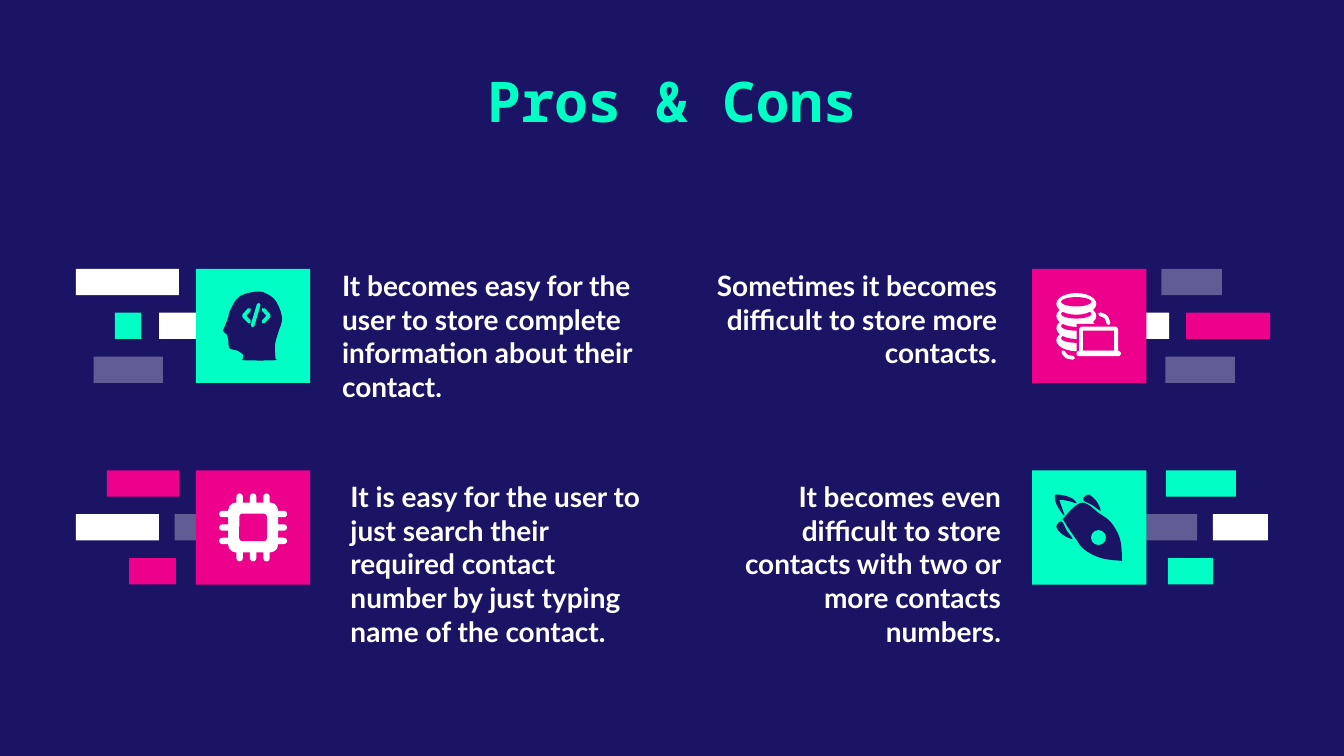
from dataclasses import dataclass

from lxml import etree
from pptx import Presentation
from pptx import util as u
from pptx.dml.color import RGBColor
from pptx.enum import shapes, text
from pptx.oxml import ns

Pt = u.Pt
RECTANGLE = shapes.MSO_SHAPE.RECTANGLE
ROUNDED = shapes.MSO_SHAPE.ROUNDED_RECTANGLE
OVAL = shapes.MSO_SHAPE.OVAL
LEFT, CENTER, RIGHT = text.PP_ALIGN.LEFT, text.PP_ALIGN.CENTER, text.PP_ALIGN.RIGHT


@dataclass(frozen=True)
class Theme:
    navy: str = "1B1464"
    mint: str = "00FFC5"
    pink: str = "EC008C"
    white: str = "FFFFFF"
    faint_opacity: int = 31
    title_font: str = "Noto Sans Mono"
    body_font: str = "Lato"
    title_size: int = 30
    body_size: int = 15


THEME = Theme()
TILE, BAR_HEIGHT, BAR_PITCH = 61.2, 14.1, 23.5


def paint(shape, color, opacity=100):
    shape.shadow.inherit = False
    shape.fill.solid()
    shape.fill.fore_color.rgb = RGBColor.from_string(color)
    shape.line.fill.background()
    if opacity < 100:
        color_node = shape.fill._xPr.find(".//" + ns.qn("a:srgbClr"))
        etree.SubElement(color_node, ns.qn("a:alpha"), val=str(opacity * 1000))


def write_text(shape, words, *, font, size, color, alignment=LEFT,
               anchor=text.MSO_ANCHOR.TOP, top_inset=7.2):
    frame = shape.text_frame
    frame.word_wrap = True
    frame.auto_size = text.MSO_AUTO_SIZE.NONE
    frame.vertical_anchor = anchor
    frame.margin_left = frame.margin_right = frame.margin_bottom = Pt(7.2)
    frame.margin_top = Pt(top_inset)
    paragraph = frame.paragraphs[0]
    paragraph.alignment = alignment
    run = paragraph.add_run()
    run.text = words
    run.font.name, run.font.size, run.font.bold = font, Pt(size), True
    run.font.color.rgb = RGBColor.from_string(color)


def add_block(canvas, kind, left, top, width, height, color, opacity=100, rounding=None):
    shape = canvas.add_shape(kind, Pt(left), Pt(top), Pt(width), Pt(height))
    if rounding is not None:
        shape.adjustments[0] = rounding
    paint(shape, color, opacity)


def smooth(points, closed, steps=6):
    count = len(points)

    def at(index):
        return points[index % count] if closed else points[min(max(index, 0), count - 1)]

    curve = []
    for index in range(count if closed else count - 1):
        neighbours = list(zip(*(at(index + shift) for shift in (-1, 0, 1, 2))))
        for step in range(steps):
            t = step / steps
            curve.append(tuple(
                b + t * (c - a) / 2 + t * t * (a - 2.5 * b + 2 * c - d / 2)
                + t ** 3 * (3 * b - a - 3 * c + d) / 2
                for a, b, c, d in neighbours))
    return curve if closed else curve + [points[-1]]


def add_outline(canvas, origin, points, color, closed=True, curved=True):
    left, top = origin
    if curved:
        points = smooth(points, closed)
    placed = [(Pt(left + x), Pt(top + y)) for x, y in points]
    builder = canvas.build_freeform(*placed[0])
    builder.add_line_segments(placed[1:], close=closed)
    shape = builder.convert_to_shape()
    paint(shape, color)
    if not closed:
        shape.fill.background()
        style_line(shape.line, color)


def style_line(line, color):
    line.width = Pt(2)
    line.color.rgb = RGBColor.from_string(color)
    line._get_or_add_ln().set("cap", "rnd")


def add_line(canvas, origin, start, end, color):
    left, top = origin
    connector = canvas.add_connector(
        shapes.MSO_CONNECTOR.STRAIGHT, Pt(left + start[0]), Pt(top + start[1]),
        Pt(left + end[0]), Pt(top + end[1]))
    style_line(connector.line, color)
    etree.SubElement(connector._element.spPr, ns.qn("a:effectLst"))


def draw_head(canvas, origin):
    add_outline(canvas, origin, [
        (32.4, 12.2), (23, 15.1), (18, 23), (17.3, 26), (15.1, 31.7), (14.4, 33.1),
        (15.8, 34.6), (16.6, 35.3), (17.3, 38.2), (18, 42.5), (22.3, 43.9),
        (25.2, 46.1), (25.2, 48.2), (25.9, 49), (41.8, 49), (42.5, 47.5),
        (42.3, 41), (43.9, 34.6), (46.1, 26.6), (43.2, 18), (38.5, 13.7)], THEME.navy)
    for outer, tip in ((28.6, 25.6), (36.2, 39.1)):
        add_outline(canvas, origin, [(outer, 21.9), (tip, 25.2), (outer, 28.3)],
                    THEME.mint, closed=False, curved=False)
    add_line(canvas, origin, (33.6, 19.2), (30.3, 30.4), THEME.mint)


def draw_chip(canvas, origin):
    middle_x, middle_y = (edge + TILE / 2 for edge in origin)

    def centred(width, height, color, rounding, shift_x=0, shift_y=0):
        add_block(canvas, ROUNDED, middle_x + shift_x - width / 2,
                  middle_y + shift_y - height / 2, width, height, color, rounding=rounding)

    for shift in (-7.2, 0, 7.2):
        centred(3.4, 36.4, THEME.white, 0.5, shift_x=shift)
        centred(36.4, 3.4, THEME.white, 0.5, shift_y=shift)
    centred(26.8, 26.8, THEME.white, 0.16)
    centred(14.8, 14.8, THEME.pink, 0.12)


def draw_database(canvas, origin):
    left, top = origin
    for level in reversed(range(4)):
        disk_top = top + 13 + 6.5 * level
        add_block(canvas, OVAL, left + 13, disk_top, 21.4, 11.6, THEME.white)
        add_block(canvas, OVAL, left + 15.6, disk_top + 2.2, 16.2, 5, THEME.pink)
    for kind, x, y, width, height, color, rounding in (
            (RECTANGLE, 23.8, 29.6, 24, 17, THEME.pink, None),
            (ROUNDED, 25.2, 31, 20.9, 15, THEME.white, 0.1),
            (RECTANGLE, 27.4, 33.1, 16.5, 10.8, THEME.pink, None),
            (ROUNDED, 23.8, 44, 23.8, 2.8, THEME.white, 0.5)):
        add_block(canvas, kind, left + x, top + y, width, height, color, rounding=rounding)
    for arc in ([(16.6, 44.6), (18.7, 47), (22, 47.7)],
                [(36.4, 24.3), (39.6, 25.9), (41, 29.2)]):
        add_outline(canvas, origin, arc, THEME.white, closed=False)


def draw_rocket(canvas, origin):
    flame = [(23.8, 17.3), (21.6, 15.1), (18, 13.7), (13.7, 13), (12.2, 13.7),
             (13, 18), (16.6, 23.8), (17.3, 23.8), (16.6, 21.6), (15.1, 17.3),
             (15.1, 15.8), (20.2, 16.6), (23, 17.5)]
    upper_fin = [(27.4, 15.8), (30.2, 13), (34.5, 16.5), (36.7, 21.6), (32.4, 18.7)]
    lower_fin = [(y, x) for x, y in upper_fin]
    body = [(48.2, 47.9), (47.2, 37), (42.5, 28.1), (36, 23), (26.6, 17.3),
            (17.3, 25.2), (17.3, 27.4), (23, 36), (28.1, 42.5), (37, 47), (47.2, 48.4)]
    for part in (flame, upper_fin, lower_fin, body):
        add_outline(canvas, origin, part, THEME.navy)
    add_block(canvas, OVAL, origin[0] + 31.6, origin[1] + 32, 8, 8, THEME.mint)


def add_point(slide, words, text_at, alignment, tile_at, tile_color, bars, draw_icon):
    left, top = tile_at
    for row, bar_left, width, color in bars:
        add_block(slide.shapes, RECTANGLE, bar_left, top + row * BAR_PITCH, width, BAR_HEIGHT,
                  color or THEME.white, 100 if color else THEME.faint_opacity)
    add_block(slide.shapes, RECTANGLE, left, top, TILE, TILE, tile_color)
    draw_icon(slide.shapes.add_group_shape().shapes, tile_at)
    box = slide.shapes.add_textbox(Pt(text_at[0]), Pt(text_at[1]), Pt(170.6), Pt(32.4))
    write_text(box, words, font=THEME.body_font, size=THEME.body_size, color=THEME.white,
               alignment=alignment, top_inset=0)


def add_title(slide, words):
    title = slide.shapes.title
    title.left, title.top, title.width, title.height = Pt(100.8), Pt(27.4), Pt(518.4), Pt(52.6)
    write_text(title, words, font=THEME.title_font, size=THEME.title_size, color=THEME.mint,
               alignment=CENTER, anchor=text.MSO_ANCHOR.MIDDLE)


def main():
    presentation = Presentation()
    presentation.slide_width, presentation.slide_height = Pt(720), Pt(405)
    slide = presentation.slides.add_slide(presentation.slide_layouts[5])
    slide.background.fill.solid()
    slide.background.fill.fore_color.rgb = RGBColor.from_string(THEME.navy)
    add_title(slide, "Pros & Cons")

    white, mint, pink, faint = THEME.white, THEME.mint, THEME.pink, None
    left_tile, right_tile, upper, lower = 105, 552.9, 144, 252
    add_point(slide, "It becomes easy for the user to store complete information about their contact.",
              (176.2, 144), LEFT, (left_tile, upper), mint,
              [(0, 40.7, 55.2, white), (1, 61.6, 14.1, mint),
               (1, 85.2, 25.4, white), (2, 50.2, 37.1, faint)], draw_head)
    add_point(slide, "Sometimes it becomes difficult to store more contacts.",
              (370.8, 144), RIGHT, (right_tile, upper), pink,
              [(0, 622.2, 32.4, faint), (1, 609.1, 17.2, white),
               (1, 635.4, 45, pink), (2, 624.4, 37.2, faint)], draw_database)
    add_point(slide, "It is easy for the user to just search their required contact number "
                     "by just typing name of the contact.",
              (180.7, 257), LEFT, (left_tile, lower), pink,
              [(0, 57.3, 38.6, pink), (1, 40.7, 44.5, white),
               (1, 93.5, 17.1, faint), (2, 69.1, 25.2, pink)], draw_chip)
    add_point(slide, "It becomes even difficult to store contacts with two or more contacts numbers.",
              (372.8, 257), RIGHT, (right_tile, lower), mint,
              [(0, 624.6, 37.5, mint), (1, 609.1, 32.2, faint),
               (1, 649.8, 29.5, white), (2, 625.7, 24.1, mint)], draw_rocket)
    presentation.save("out.pptx")


if __name__ == "__main__":
    main()
